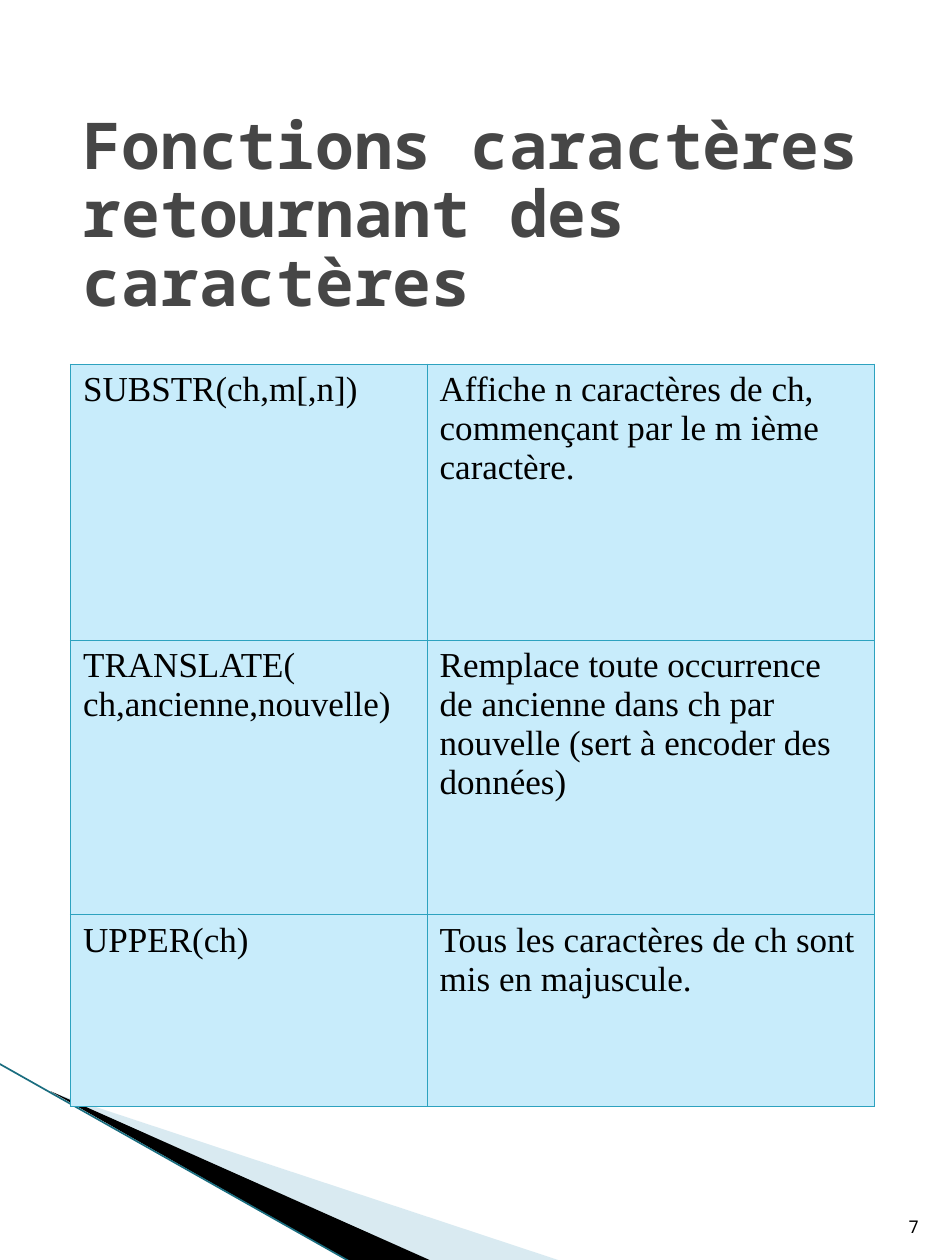
from dataclasses import dataclass

from lxml import etree
from pptx import Presentation
from pptx import util as u
from pptx.dml.color import RGBColor
from pptx.enum import shapes, text
from pptx.oxml import parse_xml
from pptx.oxml.ns import nsdecls, qn


@dataclass(frozen=True)
class Theme:
    heading_font: str = "Noto Sans Mono"
    table_font: str = "Times New Roman"
    heading: str = "464646"
    ink: str = "000000"
    pale: str = "A0CBDC"
    edge: str = "1A6D7F"
    border: str = "2DA2BF"
    cell: str = "C8ECFB"
    heading_size: float = 36.9
    table_size: float = 20
    number_size: float = 10


class SlideBuilder:
    def __init__(self, page, theme):
        self.page = page
        self.theme = theme

    def add_lines(self, frame, lines, font, size, color, bold=False, **layout):
        """Fill a text frame, one paragraph per line."""
        for index, line in enumerate(lines):
            para = frame.paragraphs[0] if index == 0 else frame.add_paragraph()
            for name, value in layout.items():
                setattr(para, name, value)
            span = para.add_run()
            span.text = line
            formats = {"name": font, "size": u.Pt(size), "bold": bold}
            for name, value in formats.items():
                setattr(span.font, name, value)
            span.font.color.rgb = RGBColor.from_string(color)

    def text_box(self, place, line, anchor, **style):
        box = self.page.shapes.add_textbox(*map(u.Inches, place))
        frame = box.text_frame
        frame.word_wrap = True
        frame.vertical_anchor = anchor
        self.add_lines(frame, [line], self.theme.heading_font, **style)

    def polygon(self, points, color, opacity=100):
        corners = [(u.Inches(x), u.Inches(y)) for x, y in points]
        builder = self.page.shapes.build_freeform(*corners[0])
        builder.add_line_segments(corners[1:])
        shape = builder.convert_to_shape()
        shape.shadow.inherit = False
        shape.fill.solid()
        shape.fill.fore_color.rgb = RGBColor.from_string(color)
        shape.line.fill.background()
        if opacity < 100:
            tint = shape._element.spPr.find(".//" + qn("a:srgbClr"))
            etree.SubElement(tint, qn("a:alpha"), val=str(opacity * 1000))

    def line(self, start, end, color, width):
        connector = self.page.shapes.add_connector(
            shapes.MSO_CONNECTOR.STRAIGHT, *map(u.Inches, start + end))
        connector.line.color.rgb = RGBColor.from_string(color)
        connector.line.width = u.Pt(width)
        etree.SubElement(connector._element.spPr, qn("a:effectLst"))

    def border(self, cell, width):
        properties = cell._tc.get_or_add_tcPr()
        for index, side in enumerate(("lnL", "lnR", "lnT", "lnB")):
            properties.insert(index, parse_xml(
                f'<a:{side} {nsdecls("a")} w="{u.Pt(width)}"><a:solidFill>'
                f'<a:srgbClr val="{self.theme.border}"/></a:solidFill></a:{side}>'))

    def table(self, left, top, widths, heights, rows):
        place = (left, top, sum(widths), sum(heights))
        grid = self.page.shapes.add_table(
            len(heights), len(widths), *map(u.Inches, place)).table
        grid.first_row = grid.horz_banding = False
        for column, width in zip(grid.columns, widths):
            column.width = u.Inches(width)
        for row, height, contents in zip(grid.rows, heights, rows):
            row.height = u.Inches(height)
            for cell, lines in zip(row.cells, contents):
                cell.fill.solid()
                cell.fill.fore_color.rgb = RGBColor.from_string(self.theme.cell)
                self.border(cell, 0.75)
                self.add_lines(cell.text_frame, lines, self.theme.table_font,
                               self.theme.table_size, self.theme.ink)


FUNCTIONS = [
    (["SUBSTR(ch,m[,n])"],
     ["Affiche n caractères de ch, commençant par le m ième caractère."]),
    (["TRANSLATE(", "ch,ancienne,nouvelle)"],
     ["Remplace toute occurrence de ancienne dans ch par nouvelle "
      "(sert à encoder des données)"]),
    (["UPPER(ch)"],
     ["Tous les caractères de ch sont mis en majuscule."]),
]


def main():
    deck = Presentation()
    deck.slide_width, deck.slide_height = u.Inches(7.5), u.Inches(10)
    theme = Theme()
    slide = SlideBuilder(deck.slides.add_slide(deck.slide_layouts[6]), theme)

    slide.polygon([(0.41, 8.67), (4.46, 10.01), (3.42, 10.01)], theme.pale, 40)
    slide.polygon([(0.4, 8.66), (3.43, 10.01), (2.79, 10.02)], theme.ink)
    slide.line((-0.01, 8.44), (2.79, 10.02), theme.edge, 0.95)

    slide.text_box((0.56, 0.89, 6.65, 1.67),
                   "Fonctions caractères retournant des caractères",
                   text.MSO_ANCHOR.MIDDLE, size=theme.heading_size,
                   color=theme.heading, bold=True, line_spacing=0.88)
    slide.table(0.56, 2.89, (2.83, 3.55), (2.19, 2.18, 1.52), FUNCTIONS)
    slide.text_box((7.09, 9.34, 0.3, 0.53), "7", text.MSO_ANCHOR.BOTTOM,
                   size=theme.number_size, color=theme.ink,
                   alignment=text.PP_ALIGN.RIGHT)
    deck.save("out.pptx")


if __name__ == "__main__":
    main()
